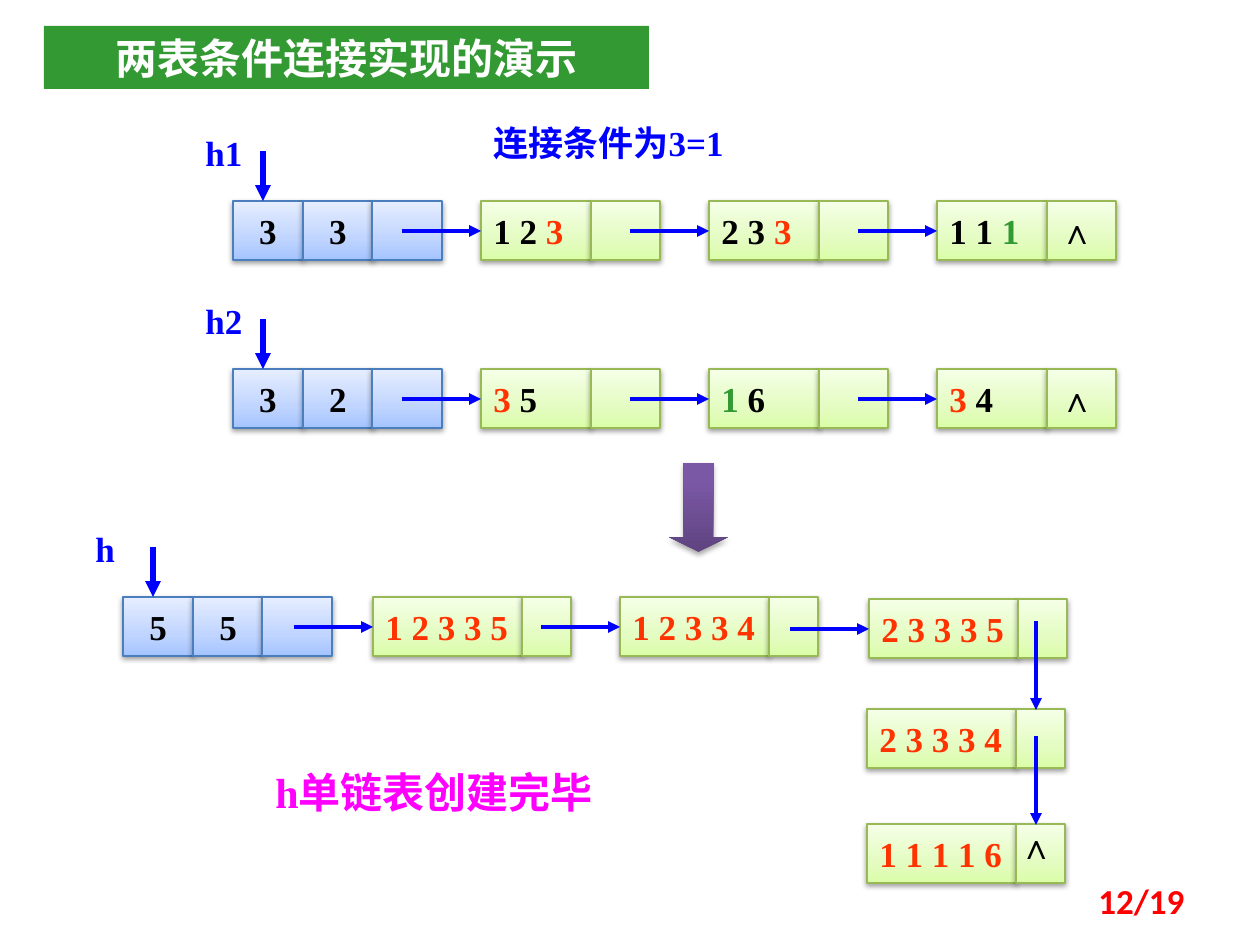
from lxml import etree
from pptx import Presentation
from pptx import util as u
from pptx.dml.color import RGBColor
from pptx.enum import shapes, text
from pptx.oxml.ns import qn

EMU_PER_PX = 914400 / 126
BLUE, RED, GREEN, BLACK = "0000FF", "FF3300", "339933", "000000"
HEAD_STOPS = [(0, "A4C4FF"), (35, "BFD4FF"), (100, "E6EEFF")]
NODE_STOPS = [(0, "DAFDA7"), (35, "E4FCC2"), (100, "F5FFE7")]
ARROW_STOPS = [(0, "5F4480"), (80, "7B58A6"), (100, "7C57A8")]
NULL_LINK = "∧"
CELL_H, HEAD_W = 59, 70


def px(value):
    return u.Emu(round(value * EMU_PER_PX))


def color(value):
    return RGBColor.from_string(value)


def add_xml(parent, tag, **attributes):
    return etree.SubElement(parent, qn(tag), {k: str(v) for k, v in attributes.items()})


class ListDiagram:
    """Style and current slide of a linked-list diagram."""

    font, cjk_font = "Times New Roman", "Noto Sans CJK SC"

    def __init__(self, slide):
        self.slide = slide

    def add_text(self, shape, runs, size=20, align=text.PP_ALIGN.LEFT, font=None,
                 wrap=True, anchor=text.MSO_ANCHOR.MIDDLE):
        frame = shape.text_frame
        frame.word_wrap = wrap
        frame.vertical_anchor = anchor
        paragraph = frame.paragraphs[0]
        paragraph.alignment = align
        for words, run_color in runs:
            run = paragraph.add_run()
            run.text = words
            run.font.name = font or self.font
            run.font.size = u.Pt(size)
            run.font.bold = True
            run.font.color.rgb = color(run_color)
            add_xml(run.font._element, "a:ea", typeface=self.cjk_font)

    def label(self, x, y, w, h, words, text_color, inset=None,
              anchor=text.MSO_ANCHOR.TOP, **style):
        box = self.slide.shapes.add_textbox(px(x), px(y), px(w), px(h))
        if inset is not None:
            frame = box.text_frame
            frame.margin_left = frame.margin_right = px(inset)
            frame.margin_top = frame.margin_bottom = px(inset)
        self.add_text(box, [(words, text_color)], anchor=anchor, **style)

    def gradient(self, shape, stops, shadow_alpha):
        shape.fill.gradient()
        shape.fill.gradient_angle = 90
        stop_list = shape._element.spPr.find(qn("a:gradFill")).find(qn("a:gsLst"))
        for stop in list(stop_list):
            stop_list.remove(stop)
        for position, value in stops:
            stop = add_xml(stop_list, "a:gs", pos=position * 1000)
            add_xml(stop, "a:srgbClr", val=value)
        shape.shadow.inherit = False
        effects = shape._element.spPr.find(qn("a:effectLst"))
        shadow = add_xml(effects, "a:outerShdw", blurRad=40000, dist=20000,
                         dir=5400000, rotWithShape=0)
        add_xml(add_xml(shadow, "a:srgbClr", val=BLACK), "a:alpha",
                val=shadow_alpha * 1000)

    def cell(self, parent, x, y, w, stops, line, runs=(), align=text.PP_ALIGN.CENTER):
        shape = parent.add_shape(shapes.MSO_SHAPE.RECTANGLE, px(x), px(y), px(w), px(CELL_H))
        shape.line.color.rgb = color(line)
        shape.line.width = u.Pt(0.75)
        self.gradient(shape, stops, 38)
        self.add_text(shape, runs, align=align, wrap=False)

    def arrow(self, x1, y1, x2, y2, width=2.25):
        line = self.slide.shapes.add_connector(
            shapes.MSO_CONNECTOR.STRAIGHT, px(x1), px(y1), px(x2), px(y2))
        line.line.color.rgb = color(BLUE)
        line.line.width = u.Pt(width)
        add_xml(line.line._get_or_add_ln(), "a:tailEnd", type="triangle")
        add_xml(line._element.spPr, "a:effectLst")

    def head(self, x, y, name, values):
        for column, value in enumerate([*values, ""]):
            runs = [(value, BLACK)] if value else []
            self.cell(self.slide.shapes, x + column * HEAD_W - column // 2, y, HEAD_W,
                      HEAD_STOPS, "4B7EBC", runs)
        self.arrow(x + 30, y - 50, x + 30, y, 3)
        self.label(x - 40, y - 76, HEAD_W, 54, name, BLUE)

    def node(self, x, y, data_w, link_w, runs, link=()):
        group = self.slide.shapes.add_group_shape().shapes
        self.cell(group, x, y, data_w, NODE_STOPS, "98B955", runs, text.PP_ALIGN.LEFT)
        self.cell(group, x + data_w, y, link_w, NODE_STOPS, "98B955", link)

    def link_to(self, x, y):
        self.arrow(x - 79, y + 30, x, y + 30)

    def title(self, x, y, w, h, words):
        bar = self.slide.shapes.add_shape(shapes.MSO_SHAPE.RECTANGLE, px(x), px(y), px(w), px(h))
        bar.shadow.inherit = False
        bar.fill.solid()
        bar.fill.fore_color.rgb = color(GREEN)
        bar.line.fill.background()
        self.add_text(bar, [(words, "FFFFFF")], 24, text.PP_ALIGN.CENTER,
                      self.cjk_font, anchor=text.MSO_ANCHOR.TOP)

    def block_arrow(self, x, y, w, h):
        shape = self.slide.shapes.add_shape(shapes.MSO_SHAPE.DOWN_ARROW, px(x), px(y), px(w), px(h))
        shape.adjustments[0], shape.adjustments[1] = 0.5, 0.25
        shape.line.fill.background()
        self.gradient(shape, ARROW_STOPS, 35)


def main():
    presentation = Presentation()
    presentation.slide_width, presentation.slide_height = px(1260), px(945)
    diagram = ListDiagram(presentation.slides.add_slide(presentation.slide_layouts[6]))

    # Title and join condition
    diagram.title(44, 26, 605, 63, "两表条件连接实现的演示")
    diagram.label(481, 115, 287, 54, "连接条件为3=1", BLUE)

    # The two source tables
    tables = [
        ("h1", 201, "33", [[("1 2 ", BLACK), ("3", RED)], [("2 3 ", BLACK), ("3", RED)],
                           [("1 1 ", BLACK), ("1", GREEN)]]),
        ("h2", 369, "32", [[("3", RED), (" 5", BLACK)], [("1", GREEN), (" 6", BLACK)],
                           [("3", RED), (" 4", BLACK)]]),
    ]
    for name, y, sizes, rows in tables:
        diagram.head(233, y, name, sizes)
        for index, runs in enumerate(rows):
            x = 481 + index * 228
            is_last = index == len(rows) - 1
            diagram.node(x, y, 110, 69, runs, [(NULL_LINK + " ", BLACK)] if is_last else [])
            diagram.link_to(x, y)

    # The joined table
    diagram.block_arrow(669, 463, 59, 89)
    diagram.head(123, 597, "h", "55")
    joined = [(373, 597, "1 2 3 3 5"), (620, 597, "1 2 3 3 4"), (869, 599, "2 3 3 3 5"),
              (867, 709, "2 3 3 3 4"), (867, 824, "1 1 1 1 6")]
    for x, y, values in joined:
        diagram.node(x, y, 149, 49, [(values, RED)])
    for x, y, _ in joined[:3]:
        diagram.link_to(x, y)
    for x, y, _ in joined[3:]:
        diagram.arrow(x + 169, y - 88, x + 169, y + 1)
    diagram.label(1019, 824, 39, 43, NULL_LINK, BLACK, inset=0)

    # Closing remark and page number
    diagram.label(263, 760, 397, 63, "h单链表创建完毕", "FF00FF", size=24)
    diagram.label(903, 876, 294, 50, "12/19", "FF0000", font="Calibri",
                  align=text.PP_ALIGN.RIGHT, anchor=text.MSO_ANCHOR.MIDDLE)

    presentation.save("out.pptx")


if __name__ == "__main__":
    main()
